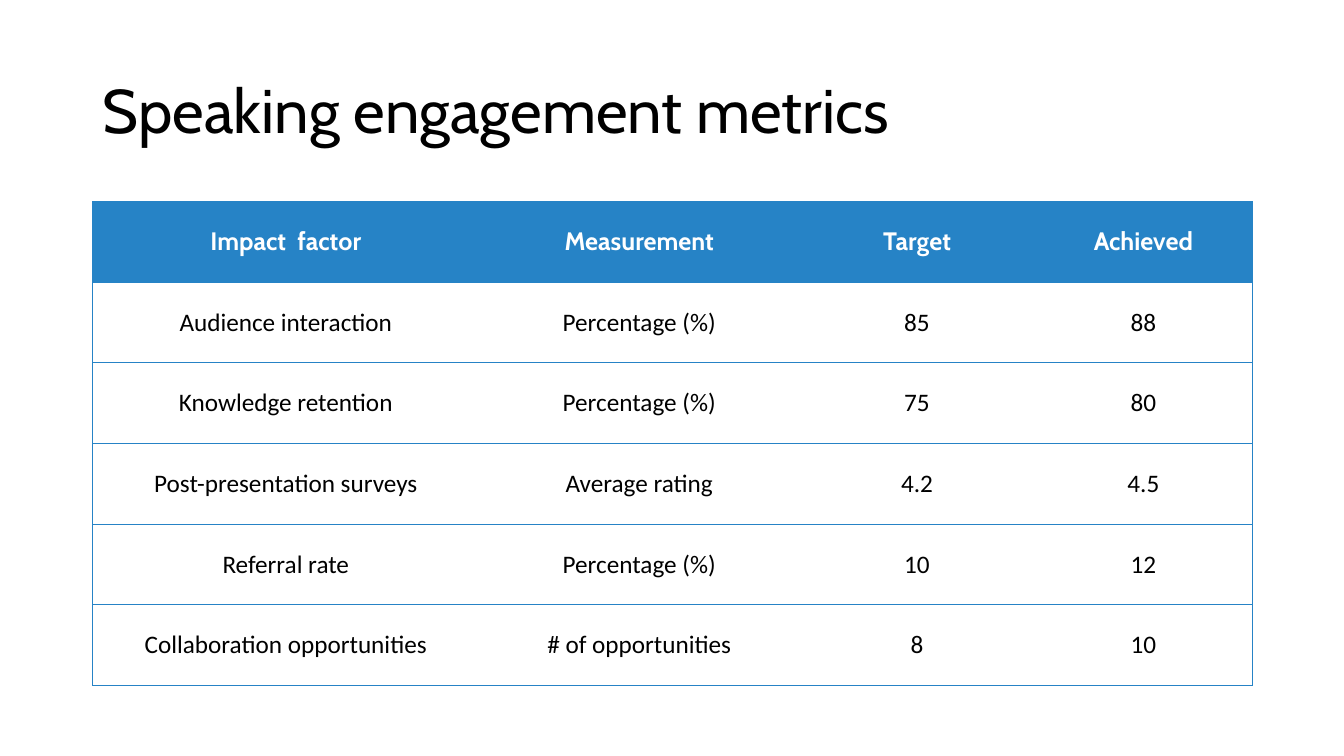
import pptx
import pptx.dml.color
import pptx.enum.text
import pptx.oxml
import pptx.oxml.ns
import pptx.util

PX = 9144  # 100 px to the inch
BLUE, WHITE, BLACK = "2683C6", "FFFFFF", "000000"
ALIGN = pptx.enum.text.PP_ALIGN
MIDDLE = pptx.enum.text.MSO_ANCHOR.MIDDLE


def px(n):
    return pptx.util.Emu(n * PX)


def color(value):
    return pptx.dml.color.RGBColor.from_string(value)


class Deck:
    heading_font, body_font = "Cabin", "Calibri"

    def __init__(self, width, height):
        self.prs = pptx.Presentation()
        self.prs.slide_width, self.prs.slide_height = px(width), px(height)
        self.s = self.prs.slides.add_slide(self.prs.slide_layouts[5])

    def style(self, p, size, font, fill, bold=False, align=ALIGN.CENTER):
        p.alignment = align
        for r in p.runs:
            r.font.size, r.font.name, r.font.bold = pptx.util.Pt(size), font, bold
            r.font.color.rgb = color(fill)

    def title(self, text, left, top, width, height):
        sp = self.s.shapes.title
        sp.left, sp.top, sp.width, sp.height = map(px, (left, top, width, height))
        tf = sp.text_frame
        tf.text = text
        tf.vertical_anchor = MIDDLE
        tf.auto_size = pptx.enum.text.MSO_AUTO_SIZE.NONE
        p = tf.paragraphs[0]
        p.line_spacing = 0.9
        self.style(p, 44, self.heading_font, BLACK, align=ALIGN.LEFT)

    def border(self, cell, side, line):
        """Draw one cell side (L, R, T or B) in a colour, or hide it."""
        fill = (f'<a:solidFill><a:srgbClr val="{line}"/></a:solidFill>'
                if line else "<a:noFill/>")
        cell._tc.get_or_add_tcPr().append(pptx.oxml.parse_xml(
            f'<a:ln{side} {pptx.oxml.ns.nsdecls("a")} w="12700">{fill}</a:ln{side}>'))

    def table(self, rows, left, top, widths, row_height):
        frame = self.s.shapes.add_table(
            len(rows), len(widths), px(left), px(top),
            px(sum(widths)), px(row_height * len(rows)))
        table = frame.table
        table.horz_banding = False
        for column, width in zip(table.columns, widths):
            column.width = px(width)
        for i, row in enumerate(rows):
            table.rows[i].height = px(row_height)
            for j, text in enumerate(row):
                cell = table.cell(i, j)
                cell.text = text
                cell.vertical_anchor = MIDDLE
                # Outer frame and row rules only
                self.border(cell, "L", BLUE if j == 0 else None)
                self.border(cell, "R", BLUE if j == len(row) - 1 else None)
                self.border(cell, "T", BLUE)
                self.border(cell, "B", BLUE)
                p = cell.text_frame.paragraphs[0]
                if i == 0:
                    cell.fill.solid()
                    cell.fill.fore_color.rgb = color(BLUE)
                    self.style(p, 18, self.heading_font, WHITE, bold=True)
                else:
                    cell.fill.background()
                    self.style(p, 18, self.body_font, BLACK)


METRICS = [
    ("Impact  factor", "Measurement", "Target", "Achieved"),
    ("Audience interaction", "Percentage (%)", "85", "88"),
    ("Knowledge retention", "Percentage (%)", "75", "80"),
    ("Post-presentation surveys", "Average rating", "4.2", "4.5"),
    ("Referral rate", "Percentage (%)", "10", "12"),
    ("Collaboration opportunities", "# of opportunities", "8", "10"),
]


def main():
    deck = Deck(1333, 750)
    # Title
    deck.title("Speaking engagement metrics", 92, 40, 1150, 145)
    # Metrics table
    deck.table(METRICS, 92, 200, (383, 318, 233, 216), 80)
    deck.prs.save("out.pptx")


if __name__ == "__main__":
    main()
